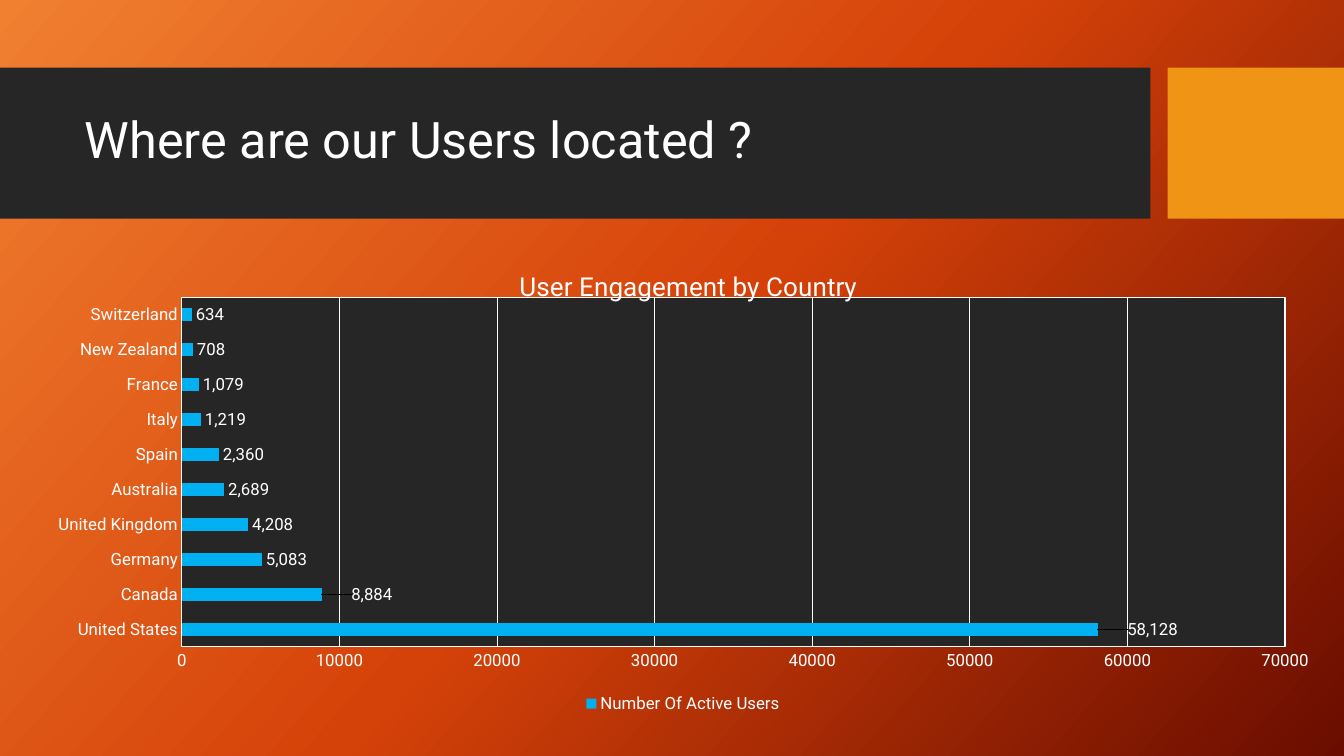
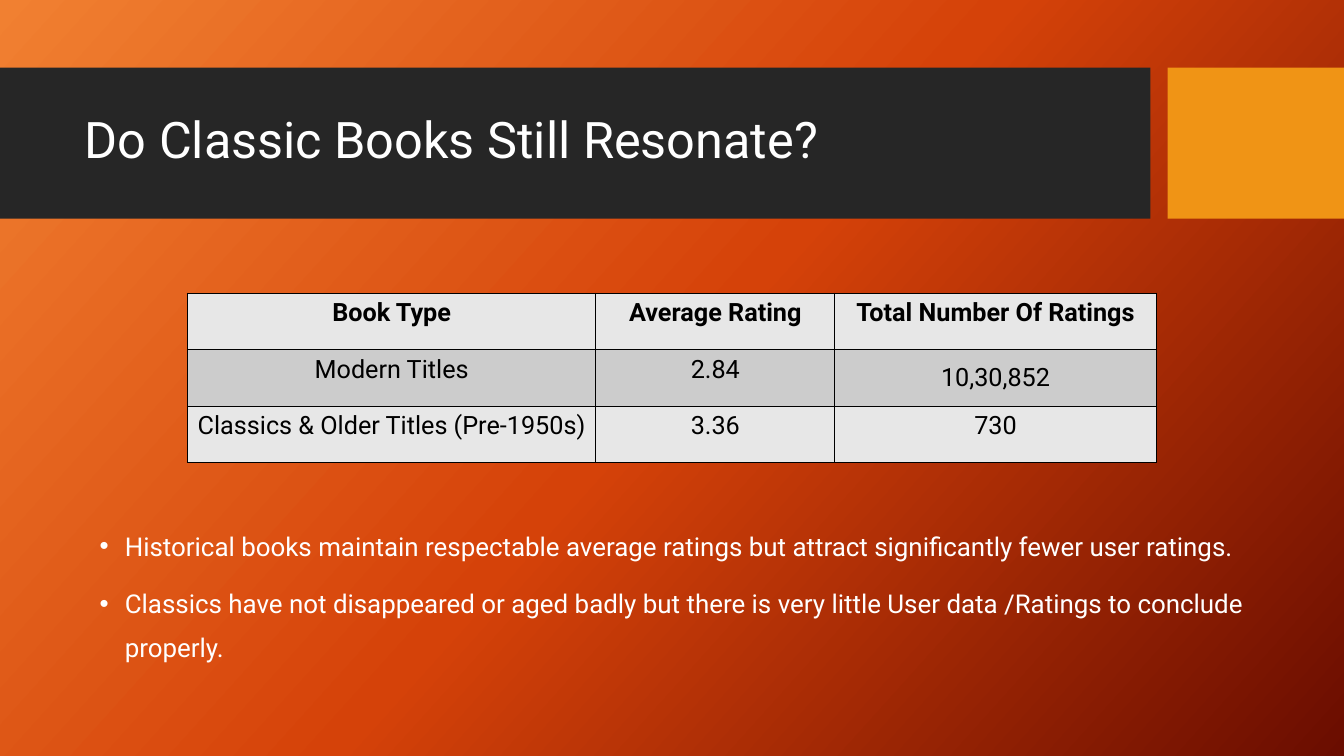
from lxml.etree import SubElement
from pptx import Presentation
from pptx.chart.data import CategoryChartData
from pptx.dml.color import RGBColor
from pptx.enum.chart import (XL_CHART_TYPE, XL_LABEL_POSITION,
                             XL_LEGEND_POSITION, XL_TICK_MARK)
from pptx.enum.shapes import MSO_SHAPE
from pptx.enum.text import MSO_ANCHOR, PP_ALIGN
from pptx.oxml import parse_xml
from pptx.oxml.ns import nsdecls, qn
from pptx.util import Inches, Pt

FONT = "Roboto"
WHITE, BLACK, DARK = "FFFFFF", "000000", "262626"
ORANGE, BLUE = "F09415", "00B0F0"
ROW_FILLS = ("E7E7E7", "CCCCCC")
GRADIENT = ((0, "F18031"), (50, "D54209"), (100, "6A0D00"))
GRADIENT_ANGLE = 42

# Boxes: left, top, width, height
BANDS = (((0, 0.67, 11.41, 1.5), DARK), ((11.58, 0.67, 1.75, 1.5), ORANGE))
TITLE_BOX = (0.74, 0.82, 10.51, 1.18)
CHART_BOX = (0.45, 2.41, 12.65, 4.71)
TABLE_BOX = (1.86, 2.91, 9.61, 1.68)
BULLET_BOX = (0.89, 5.09, 12.44, 1.59)

ACTIVE_USERS = {
    "United States": 58128, "Canada": 8884, "Germany": 5083,
    "United Kingdom": 4208, "Australia": 2689, "Spain": 2360,
    "Italy": 1219, "France": 1079, "New Zealand": 708, "Switzerland": 634,
}
LABEL_SHIFTS = {0: 0.02, 1: 0.02}  # point index: share of the chart width

RATINGS = (
    ("Book Type", "Average Rating", "Total Number Of Ratings"),
    ("Modern Titles", "2.84", "10,30,852"),
    ("Classics & Older Titles (Pre-1950s)", "3.36", "730"),
)
COLUMN_WIDTHS = (4.05, 2.37, 3.19)
FINDINGS = (
    "Historical books maintain respectable average ratings but attract "
    "significantly fewer user ratings.",
    "Classics have not disappeared or aged badly but there is very little "
    "User data /Ratings to conclude properly.",
)


def color(value):
    return RGBColor.from_string(value)


def inches(box):
    return [Inches(length) for length in box]


def set_values(target, values):
    for name, value in values.items():
        setattr(target, name, value)


def format_font(font, size, value=WHITE, bold=False):
    set_values(font, {"name": FONT, "size": Pt(size), "bold": bold})
    font.color.rgb = color(value)


def fill_solid(target, value):
    target.fill.solid()
    target.fill.fore_color.rgb = color(value)


def format_line(line, value=WHITE, width=0.75):
    line.color.rgb = color(value)
    line.width = Pt(width)


# Shared look
def set_background(master):
    fill = master.background.fill
    fill.gradient()
    fill.gradient_angle = 360 - GRADIENT_ANGLE
    stops = next(master.background._cSld.iter(qn("a:gsLst")))
    for stop in list(stops):
        stops.remove(stop)
    for percent, value in GRADIENT:
        stop = SubElement(stops, qn("a:gs"), pos=str(percent * 1000))
        SubElement(stop, qn("a:srgbClr"), val=value)


def add_titled_slide(presentation, text):
    slide = presentation.slides.add_slide(presentation.slide_layouts[5])
    title = slide.shapes.title
    for box, value in BANDS:
        band = slide.shapes.add_shape(MSO_SHAPE.RECTANGLE, *inches(box))
        band.shadow.inherit = False
        fill_solid(band, value)
        band.line.fill.background()
        title._element.addprevious(band._element)

    set_values(title, dict(zip(("left", "top", "width", "height"),
                               inches(TITLE_BOX))))
    title.text_frame.text = text
    title.text_frame.vertical_anchor = MSO_ANCHOR.MIDDLE
    paragraph = title.text_frame.paragraphs[0]
    set_values(paragraph, {"alignment": PP_ALIGN.LEFT, "line_spacing": 0.9})
    format_font(paragraph.runs[0].font, 36)
    return slide


# Chart
def set_layout(parent, index, values):
    """Give a chart part a manual layout as its child at the index."""
    for layout in parent.findall(qn("c:layout")):
        parent.remove(layout)
    layout = parse_xml(f'<c:layout {nsdecls("c")}/>')
    manual = SubElement(layout, qn("c:manualLayout"))
    for name, value in values.items():
        SubElement(manual, qn(f"c:{name}"), val=str(value))
    parent.insert(index, layout)


def format_plot_area(plot_area):
    set_layout(plot_area, 0, {
        "layoutTarget": "inner", "xMode": "edge", "yMode": "edge",
        "x": 0.107, "y": 0.114, "w": 0.865, "h": 0.737})
    plot_area.append(parse_xml(
        f'<c:spPr {nsdecls("c", "a")}>'
        f'<a:solidFill><a:srgbClr val="{DARK}"/></a:solidFill>'
        f'<a:ln w="{Pt(0.75)}"><a:solidFill><a:srgbClr val="{WHITE}"/>'
        '</a:solidFill></a:ln></c:spPr>'))


def format_axes(chart):
    for axis in (chart.category_axis, chart.value_axis):
        set_values(axis, {"major_tick_mark": XL_TICK_MARK.NONE,
                          "minor_tick_mark": XL_TICK_MARK.NONE})
        format_font(axis.tick_labels.font, 12)
    format_line(chart.category_axis.format.line)

    axis = chart.value_axis
    set_values(axis, {"minimum_scale": 0, "maximum_scale": 70000,
                      "major_unit": 10000, "has_major_gridlines": True})
    axis.format.line.fill.background()
    format_line(axis.major_gridlines.format.line)
    set_values(axis.tick_labels, {"number_format": "0",
                                  "number_format_is_linked": False})


def format_bars(plot):
    set_values(plot, {"gap_width": 182, "vary_by_categories": False})
    series = plot.series[0]
    fill_solid(series.format, BLUE)
    labels = series.data_labels
    set_values(labels, {"show_value": True, "number_format": "#,##0",
                        "number_format_is_linked": False,
                        "position": XL_LABEL_POSITION.OUTSIDE_END})
    format_font(labels.font, 12)
    for index, shift in LABEL_SHIFTS.items():
        label = series.points[index].data_label
        format_font(label.font, 12)
        label.position = XL_LABEL_POSITION.OUTSIDE_END
        element = labels._element.find(qn("c:dLbl") + f"[{index + 1}]")
        set_layout(element, 1, {"x": shift, "y": 0})


def add_user_chart(slide, box):
    data = CategoryChartData(number_format="#,##0")
    data.categories = list(ACTIVE_USERS)
    data.add_series("Number Of Active Users", list(ACTIVE_USERS.values()))
    chart = slide.shapes.add_chart(
        XL_CHART_TYPE.BAR_CLUSTERED, *inches(box), data).chart
    format_font(chart.font, 10)

    chart.has_title = True
    title = chart.chart_title
    title.text_frame.text = "User Engagement by Country"
    format_font(title.text_frame.paragraphs[0].runs[0].font, 18.6)
    set_layout(title._element, 1, {"xMode": "edge", "yMode": "edge",
                                   "x": 0.368, "y": 0.045})

    chart.has_legend = True
    set_values(chart.legend, {"position": XL_LEGEND_POSITION.BOTTOM,
                              "include_in_layout": False})
    format_font(chart.legend.font, 12)
    format_axes(chart)
    format_bars(chart.plots[0])
    format_plot_area(next(chart._chartSpace.iter(qn("c:plotArea"))))


# Table
def add_borders(cell):
    properties = cell._tc.get_or_add_tcPr()
    for index, side in enumerate(("lnL", "lnR", "lnT", "lnB")):
        properties.insert(index, parse_xml(
            f'<a:{side} {nsdecls("a")} w="{Pt(1)}"><a:solidFill>'
            f'<a:srgbClr val="{BLACK}"/></a:solidFill></a:{side}>'))


def add_rating_table(slide, box):
    table = slide.shapes.add_table(
        len(RATINGS), len(COLUMN_WIDTHS), *inches(box)).table
    for column, width in zip(table.columns, COLUMN_WIDTHS):
        column.width = Inches(width)
    for row, texts in enumerate(RATINGS):
        for column, text in enumerate(texts):
            cell = table.cell(row, column)
            cell.text = text
            fill_solid(cell, ROW_FILLS[row % 2])
            add_borders(cell)
            paragraph = cell.text_frame.paragraphs[0]
            paragraph.alignment = PP_ALIGN.CENTER
            format_font(paragraph.runs[0].font, 18, BLACK, bold=row == 0)
    table.cell(1, 2).vertical_anchor = MSO_ANCHOR.MIDDLE


# Bulleted text
def add_bullets(slide, box, texts):
    text_frame = slide.shapes.add_textbox(*inches(box)).text_frame
    text_frame.word_wrap = True
    text_frame.text = "\n".join(texts)
    for paragraph in text_frame.paragraphs:
        set_values(paragraph, {"line_spacing": 1.4, "space_before": Pt(10)})
        format_font(paragraph.runs[0].font, 18.5)
        properties = paragraph._p.get_or_add_pPr()
        indent = Inches(0.25)
        properties.set("marL", str(indent))
        properties.set("indent", str(-indent))
        SubElement(properties, qn("a:buFont"), typeface="Arial")
        SubElement(properties, qn("a:buChar"), char="•")


def main():
    presentation = Presentation()
    set_values(presentation, {"slide_width": Inches(13.33),
                              "slide_height": Inches(7.5)})
    set_background(presentation.slide_master)

    slide = add_titled_slide(presentation, "Where are our Users located ?")
    add_user_chart(slide, CHART_BOX)

    slide = add_titled_slide(presentation, "Do Classic Books Still Resonate?")
    add_rating_table(slide, TABLE_BOX)
    add_bullets(slide, BULLET_BOX, FINDINGS)

    presentation.save("out.pptx")


if __name__ == "__main__":
    main()
